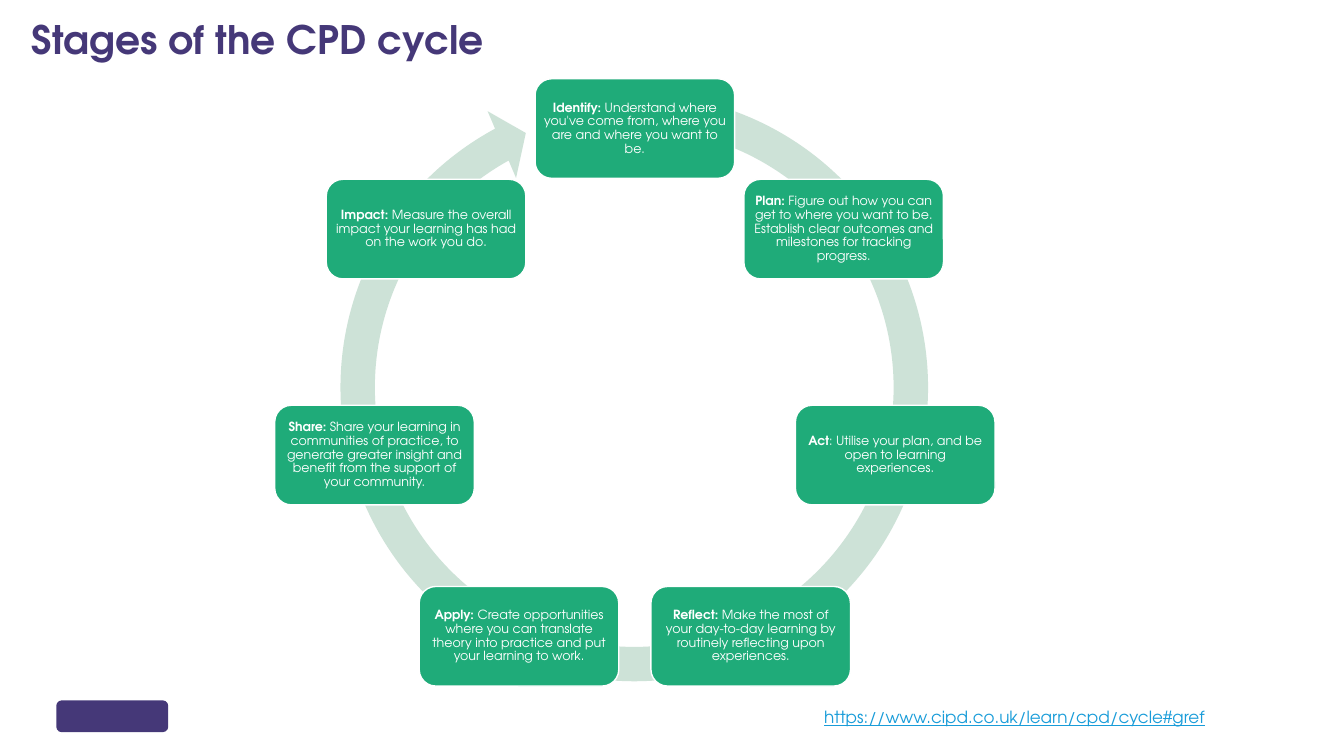
from dataclasses import dataclass
from math import cos, pi, sin

from pptx import Presentation
from pptx.dml.color import RGBColor
from pptx.enum.shapes import MSO_SHAPE
from pptx.enum.text import MSO_ANCHOR, MSO_AUTO_SIZE, PP_ALIGN
from pptx.util import Cm, Pt


@dataclass(frozen=True)
class Theme:
    face: str = "TeX Gyre Adventor"
    plum: str = "453878"
    green: str = "1FAB79"
    pale: str = "CDE2D7"
    blue: str = "189CD9"
    white: str = "FFFFFF"
    head: int = 28
    body: int = 9
    link: int = 12


# Stage name with its mark, then the rest of the text
STAGES = [
    ("Identify:", " Understand where you've come from, where you are and where you want to be."),
    ("Plan: ", "Figure out how you can get to where you want to be. "
               "Establish clear outcomes and milestones for tracking progress."),
    ("Act", ": Utilise your plan, and be open to learning experiences."),
    ("Reflect: ", "Make the most of your day-to-day learning by routinely reflecting upon experiences."),
    ("Apply: ", "Create opportunities where you can translate theory into practice "
                "and put your learning to work."),
    ("Share: ", "Share your learning in communities of practice, to generate greater insight "
                "and benefit from the support of your community."),
    ("Impact: ", "Measure the overall impact your learning has had on the work you do."),
]


def apply(item, style):
    for key, value in style.items():
        setattr(item, key, value)


def place(item, left, top, width, height):
    apply(item, {"left": Cm(left), "top": Cm(top), "width": Cm(width), "height": Cm(height)})


class Painter:
    def __init__(self, slide, theme):
        self.slide = slide
        self.theme = theme

    def frame(self, item, inset, **style):
        margins = dict.fromkeys(
            ("margin_left", "margin_top", "margin_right", "margin_bottom"), Cm(inset))
        apply(item.text_frame, {"word_wrap": True, **margins, **style})
        return item.text_frame.paragraphs[0]

    def words(self, para, text, size, color, **style):
        run = para.add_run()
        run.text = text
        apply(run.font, {"name": self.theme.face, "size": Pt(size), **style})
        run.font.color.rgb = RGBColor.from_string(color)

    def title(self, text, *box):
        item = self.slide.shapes.title
        place(item, *box)
        para = self.frame(item, 0, vertical_anchor=MSO_ANCHOR.TOP, auto_size=MSO_AUTO_SIZE.NONE)
        para.alignment = PP_ALIGN.LEFT
        self.words(para, text, self.theme.head, self.theme.plum, bold=True)

    def shape(self, kind, fill, *box, line=None):
        item = self.slide.shapes.add_shape(kind, *map(Cm, box))
        item.shadow.inherit = False
        item.fill.solid()
        item.fill.fore_color.rgb = RGBColor.from_string(fill)
        if line:
            item.line.color.rgb = RGBColor.from_string(line)
            item.line.width = Pt(1)
        else:
            item.line.fill.background()
        return item

    def arrow(self, *box):
        item = self.shape(MSO_SHAPE.CIRCULAR_ARROW, self.theme.pale, *box)
        # Band, head angle, end angle, start angle, head width
        for spot, value in enumerate((0.055, 3.31, 144.84, 169.68, 0.058)):
            item.adjustments[spot] = value

    def stage(self, name, text, *box):
        theme = self.theme
        item = self.shape(MSO_SHAPE.ROUNDED_RECTANGLE, theme.green, *box, line=theme.white)
        para = self.frame(item, 0.1, vertical_anchor=MSO_ANCHOR.MIDDLE)
        apply(para, {"alignment": PP_ALIGN.CENTER, "line_spacing": 0.9})
        self.words(para, name, theme.body, theme.white, bold=True)
        self.words(para, text, theme.body, theme.white, bold=False)

    def link(self, text, *box):
        item = self.slide.shapes.add_textbox(*map(Cm, box))
        para = self.frame(item, 0.2)
        self.words(para, text, self.theme.link, self.theme.blue, underline=True)


def main():
    deck = Presentation()
    apply(deck, {"slide_width": Cm(33.87), "slide_height": Cm(19.05)})
    theme = Theme()
    paint = Painter(deck.slides.add_slide(deck.slide_layouts[5]), theme)

    # Heading and plain brand mark
    paint.title("Stages of the CPD cycle", 0.79, 0.38, 31, 1.63)
    paint.shape(MSO_SHAPE.ROUNDED_RECTANGLE, theme.plum, 1.42, 17.65, 2.82, 0.8)

    # Ring of stages, clockwise from the top
    paint.arrow(8.1, 1.88, 15.77, 15.77)
    mid_x, mid_y, radius = 16, 9.97, 6.73
    width, height = 5.03, 2.51
    for spot, (name, text) in enumerate(STAGES):
        turn = 2 * pi * spot / len(STAGES)
        left = mid_x + radius * sin(turn) - width / 2
        top = mid_y - radius * cos(turn) - height / 2
        paint.stage(name, text, left, top, width, height)

    # Source address
    paint.link("https://www.cipd.co.uk/learn/cpd/cycle#gref", 20.57, 17.6, 10.44, 0.76)

    deck.save("out.pptx")


if __name__ == "__main__":
    main()
